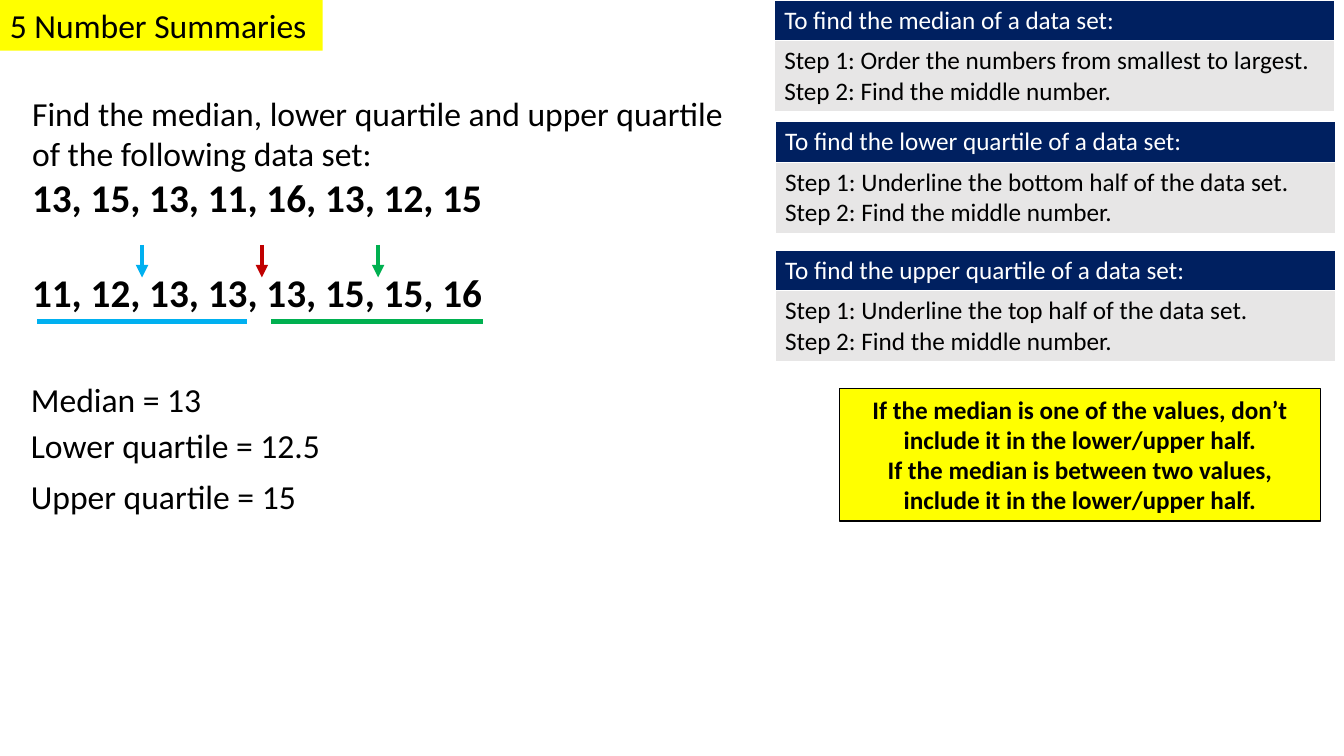
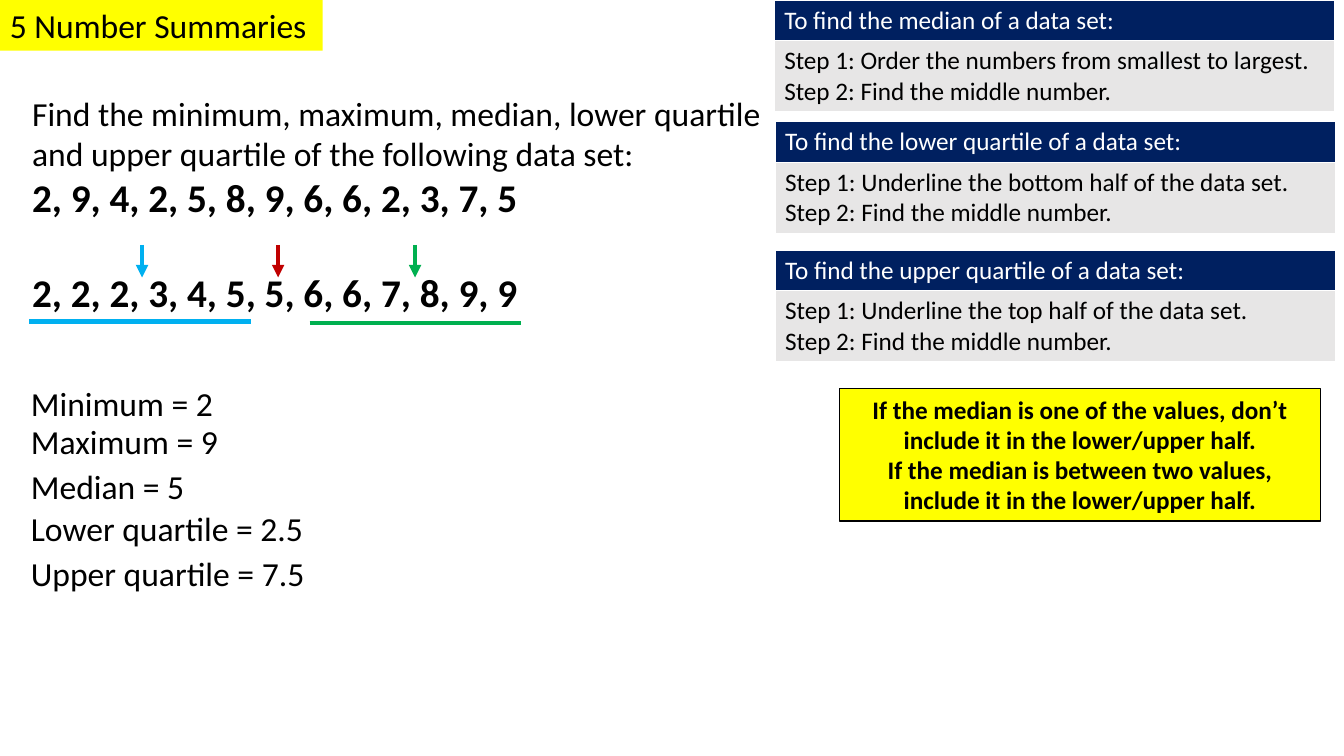
from lxml import etree
from pptx import Presentation
from pptx import util as u
from pptx.dml.color import RGBColor
from pptx.enum import shapes, text
from pptx.oxml import ns

COLOURS = {
    "ink": "000000",
    "white": "FFFFFF",
    "navy": "002060",
    "grey": "E7E6E6",
    "yellow": "FFFF00",
    "median": "C00000",
    "lower": "00B0F0",
    "upper": "00B050",
}
FONT = "Calibri"
SMALL, BODY, DATA = 18, 24, 28
LINE_WIDTH = 3
ARROW_TOP, ARROW_BOTTOM = 6.17, 6.99
ANSWER_LEFT, ANSWER_WIDTH, LINE_HEIGHT = 0.53, 12.62, 1.28

# measure, first step, left, top
METHODS = [
    ("median", "Order the numbers from smallest to largest.", 19.51, 0),
    ("lower quartile", "Underline the bottom half of the data set.", 19.53, 3.07),
    ("upper quartile", "Underline the top half of the data set.", 19.53, 6.3),
]
ADVICE = [
    "If the median is one of the values, don’t include it in the lower/upper half.",
    "If the median is between two values, include it in the lower/upper half.",
]
EXAMPLES = [
    {
        "question": "Find the median, lower quartile and upper quartile "
                    "of the following data set:",
        "width": 18,
        "data": "13, 15, 13, 11, 16, 13, 12, 15",
        "ordered": "11, 12, 13, 13, 13, 15, 15, 16",
        "arrows": {"median": 6.6, "lower": 3.58, "upper": 9.53},
        "halves": {"lower": (0.94, 6.22, 8.1), "upper": (6.83, 12.17, 8.1)},
        "answers": [
            ("Median = 13", 9.42),
            ("Lower quartile = 12.5", 10.57),
            ("Upper quartile = 15", 11.86),
        ],
    },
    {
        "question": "Find the minimum, maximum, median, lower quartile "
                    "and upper quartile of the following data set:",
        "width": 19.2,
        "data": "2, 9, 4, 2, 5, 8, 9, 6, 6, 2, 3, 7, 5",
        "ordered": "2, 2, 2, 3, 4, 5, 5, 6, 6, 7, 8, 9, 9",
        "arrows": {"median": 7.01, "lower": 3.58, "upper": 10.46},
        "halves": {"lower": (0.74, 6.32, 8.1), "upper": (7.8, 13.13, 8.14)},
        "answers": [
            ("Minimum = 2", 9.53),
            ("Maximum = 9", 10.49),
            ("Median = 5", 11.61),
            ("Lower quartile = 2.5", 12.67),
            ("Upper quartile = 7.5", 13.82),
        ],
    },
]


def rgb(name):
    return RGBColor.from_string(COLOURS[name])


class Deck:
    def __init__(self):
        self.prs = Presentation()
        self.prs.slide_width, self.prs.slide_height = u.Cm(33.87), u.Cm(19.05)
        self.s = None

    def new_slide(self):
        self.s = self.prs.slides.add_slide(self.prs.slide_layouts[6])

    def add_lines(self, tf, lines, size=BODY, colour="ink", bold=False, align=None):
        """Add each line as a paragraph and return the paragraphs."""
        for i, line in enumerate(lines):
            p = tf.add_paragraph() if i else tf.paragraphs[0]
            p.alignment = align
            r = p.add_run()
            r.text = line
            r.font.name, r.font.size, r.font.bold = FONT, u.Pt(size), bold
            r.font.color.rgb = rgb(colour)
        return tf.paragraphs

    def box(self, left, top, width, height, lines, fill=None, outline=None, **style):
        sp = self.s.shapes.add_textbox(*map(u.Cm, (left, top, width, height)))
        if fill:
            sp.fill.solid()
            sp.fill.fore_color.rgb = rgb(fill)
        if outline:
            sp.line.color.rgb = rgb(outline)
            sp.line.width = u.Pt(0.75)
        tf = sp.text_frame
        tf.word_wrap = True
        tf.auto_size = text.MSO_AUTO_SIZE.SHAPE_TO_FIT_TEXT
        return self.add_lines(tf, lines, **style)

    def line(self, x1, y1, x2, y2, colour, arrow=False):
        cn = self.s.shapes.add_connector(
            shapes.MSO_CONNECTOR.STRAIGHT, *map(u.Cm, (x1, y1, x2, y2)))
        cn.line.color.rgb = rgb(colour)
        cn.line.width = u.Pt(LINE_WIDTH)
        spPr = cn._element.spPr
        if arrow:
            ln = spPr.find(ns.qn("a:ln"))
            etree.SubElement(ln, ns.qn("a:tailEnd"), type="triangle")
        etree.SubElement(spPr, ns.qn("a:effectLst"))

    def style_cell(self, cell, fill):
        """Give the cell thin white borders and a plain fill."""
        tcPr = cell._tc.get_or_add_tcPr()
        for side in "LRTB":
            ln = etree.SubElement(tcPr, ns.qn("a:ln" + side), w=str(u.Pt(1)))
            paint = etree.SubElement(ln, ns.qn("a:solidFill"))
            etree.SubElement(paint, ns.qn("a:srgbClr"), val=COLOURS["white"])
        cell.fill.solid()
        cell.fill.fore_color.rgb = rgb(fill)

    def method_table(self, measure, first_step, left, top):
        header, body = 1, 1.8
        tbl = self.s.shapes.add_table(
            2, 1, *map(u.Cm, (left, top, 14.12, header + body))).table
        tbl.horz_banding = False
        rows = [
            (header, "navy", "white", [f"To find the {measure} of a data set:"]),
            (body, "grey", "ink", [f"Step 1: {first_step}",
                                   "Step 2: Find the middle number."]),
        ]
        for i, (height, fill, colour, lines) in enumerate(rows):
            tbl.rows[i].height = u.Cm(height)
            cell = tbl.cell(i, 0)
            self.style_cell(cell, fill)
            self.add_lines(cell.text_frame, lines, SMALL, colour)

    def frame(self):
        """Add the title, method tables and advice that every slide carries."""
        self.box(0, 0, 8.13, LINE_HEIGHT, ["5 Number Summaries"], fill="yellow")
        for method in METHODS:
            self.method_table(*method)
        self.box(21.16, 9.8, 12.12, 3.33, ADVICE, fill="yellow", outline="ink",
                 size=SMALL, bold=True, align=text.PP_ALIGN.CENTER)

    def example(self, question, width, data, ordered, arrows, halves, answers):
        paragraphs = self.box(0.56, 2.21, width, 5.89, [question, data, ordered])
        for p in paragraphs[1:]:
            p.runs[0].font.size, p.runs[0].font.bold = u.Pt(DATA), True
        paragraphs[2].space_before = u.Pt(34)
        for measure, x in arrows.items():
            self.line(x, ARROW_TOP, x, ARROW_BOTTOM, measure, arrow=True)
        for half, (start, end, y) in halves.items():
            self.line(start, y, end, y, half)
        for answer, top in answers:
            self.box(ANSWER_LEFT, top, ANSWER_WIDTH, LINE_HEIGHT, [answer])


def main():
    deck = Deck()
    for example in EXAMPLES:
        deck.new_slide()
        deck.frame()
        deck.example(**example)
    deck.prs.save("out.pptx")


if __name__ == "__main__":
    main()
